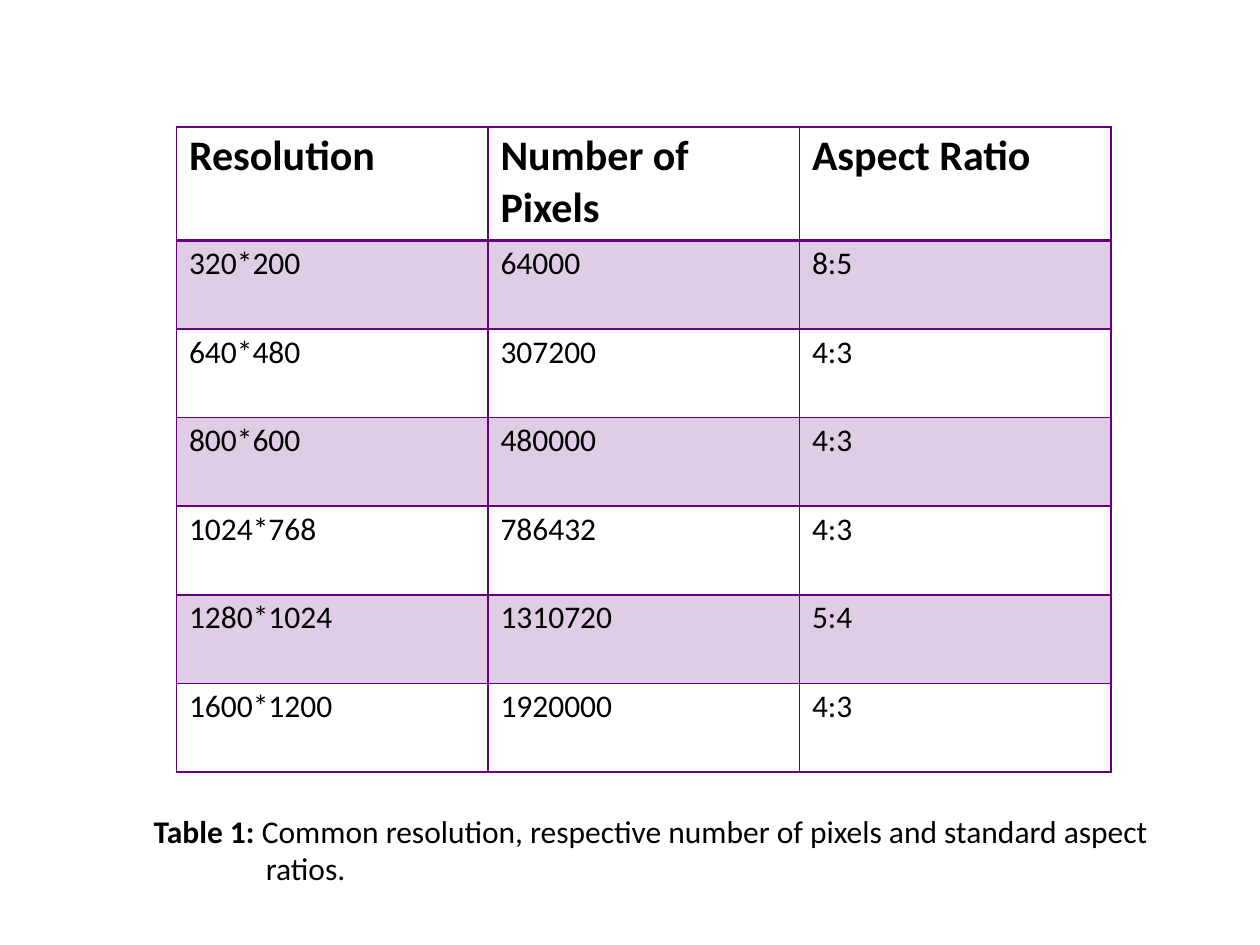
from lxml import etree
from pptx import Presentation
from pptx.dml.color import RGBColor
from pptx.enum.text import MSO_AUTO_SIZE
from pptx.oxml.ns import qn
from pptx.util import Cm, Pt

GROW = MSO_AUTO_SIZE.SHAPE_TO_FIT_TEXT
FONT = "Calibri"
COLORS = {"text": "000000", "line": "68007E", "band": "E0CCE5"}
ROWS = [
    ("Resolution", "Number of\nPixels", "Aspect Ratio"),
    ("320*200", "64000", "8:5"),
    ("640*480", "307200", "4:3"),
    ("800*600", "480000", "4:3"),
    ("1024*768", "786432", "4:3"),
    ("1280*1024", "1310720", "5:4"),
    ("1600*1200", "1920000", "4:3"),
]


def style(run, size, bold):
    """Set the font of a run."""
    font = run.font
    font.name = FONT
    font.size = Pt(size)
    font.bold = bold
    font.color.rgb = RGBColor.from_string(COLORS["text"])


def frame(cell, top, bottom):
    """Draw the four borders of a cell, with widths in points."""
    props = cell._tc.get_or_add_tcPr()
    widths = {"lnL": 1, "lnR": 1, "lnT": top, "lnB": bottom}
    for place, (side, width) in enumerate(widths.items()):
        line = etree.Element(qn("a:" + side), w=str(Pt(width)))
        fill = etree.SubElement(line, qn("a:solidFill"))
        etree.SubElement(fill, qn("a:srgbClr"), val=COLORS["line"])
        props.insert(place, line)


def fill_cell(cell, text, row):
    """Write and format one cell according to its row."""
    head = row == 0
    cell.margin_left, cell.margin_top = Cm(0.25), Cm(0.08)
    cell.margin_right = cell.margin_bottom = 0
    if row % 2:
        cell.fill.solid()
        cell.fill.fore_color.rgb = RGBColor.from_string(COLORS["band"])
    else:
        cell.fill.background()
    frame(cell, 2.25 if row == 1 else 1, 2.25 if head else 1)
    cell.text_frame.text = text
    paras = cell.text_frame.paragraphs
    paras[0].space_before = Pt(2 if head else 2.5)
    for para in paras:
        style(para.runs[0], 24 if head else 18, head)


def add_grid(slide, left, top, width, height):
    """Add the table of resolutions."""
    count = len(ROWS)
    table = slide.shapes.add_table(
        count, len(ROWS[0]), left, top, width, height).table
    table.first_row = table.horz_banding = False
    first = Cm(2.29)
    for row, texts in enumerate(ROWS):
        table.rows[row].height = first if row == 0 else int((height - first) / (count - 1))
        for col, text in enumerate(texts):
            fill_cell(table.cell(row, col), text, row)


def add_note(slide, left, top, width, height):
    """Add the caption with a hanging indent."""
    box = slide.shapes.add_textbox(left, top, width, height).text_frame
    box.word_wrap = True
    box.auto_size = GROW
    box.margin_left = box.margin_right = box.margin_bottom = 0
    box.margin_top = Cm(0.03)
    para = box.paragraphs[0]
    para.space_before = Pt(1)
    props = para._p.get_or_add_pPr()
    props.set("marL", str(Cm(2.29)))
    props.set("indent", str(Cm(-2.26)))
    label = "Table 1: "
    note = "Common resolution, respective number of pixels and standard aspect ratios."
    for text, bold in ((label, True), (note, False)):
        run = para.add_run()
        run.text = text
        style(run, 18, bold)


def main():
    """Build and save the slide."""
    deck = Presentation()
    deck.slide_width, deck.slide_height = Cm(25.4), Cm(19.05)
    slide = deck.slides.add_slide(deck.slide_layouts[6])
    add_grid(slide, Cm(3.56), Cm(2.56), Cm(18.84), Cm(13))
    add_note(slide, Cm(3.07), Cm(16.33), Cm(20.14), Cm(1.6))
    deck.save("out.pptx")


if __name__ == "__main__":
    main()
